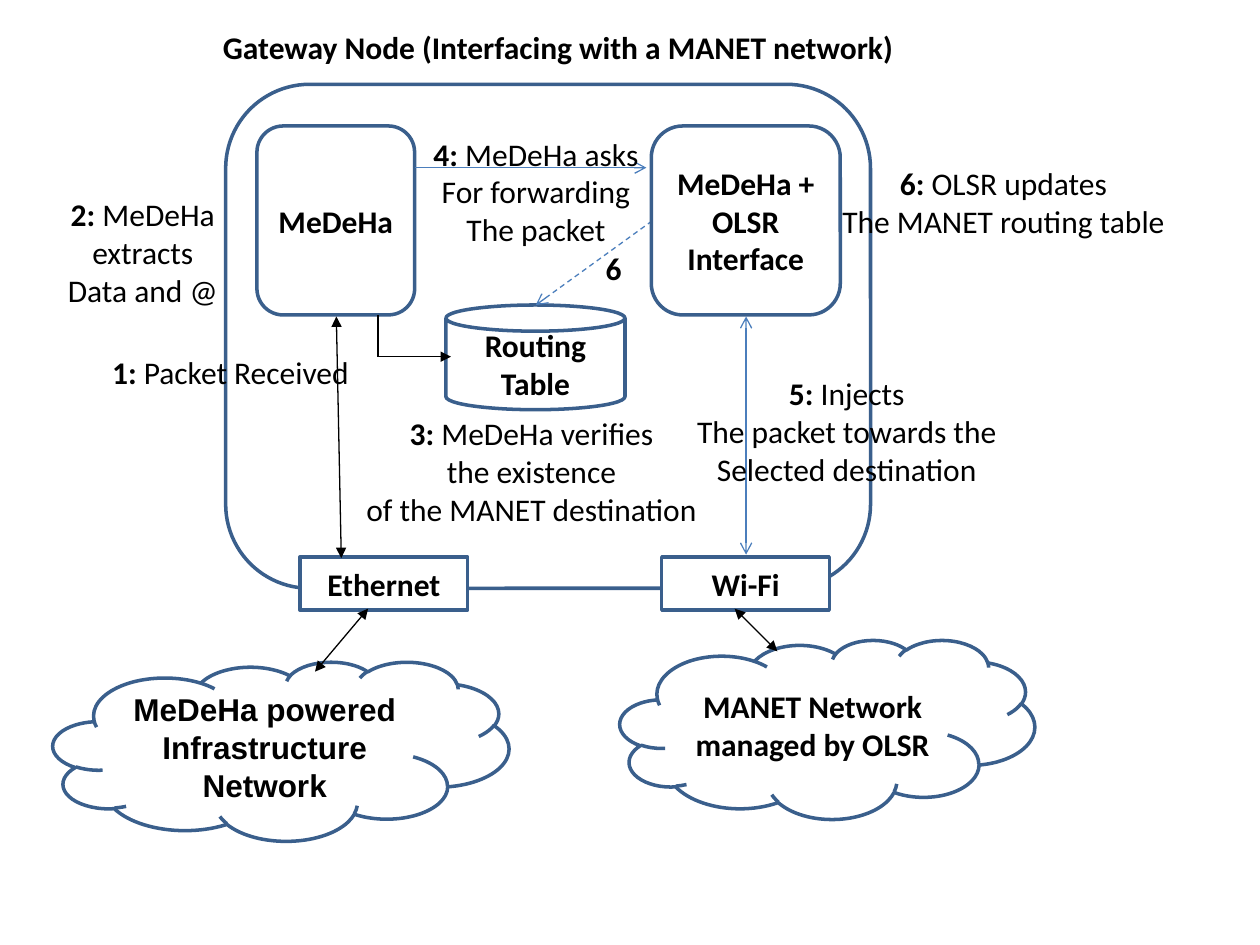
from dataclasses import dataclass
from lxml.etree import SubElement
from pptx import Presentation
from pptx.dml.color import RGBColor
from pptx.enum.dml import MSO_LINE
from pptx.enum.shapes import MSO_CONNECTOR, MSO_SHAPE
from pptx.enum.text import MSO_ANCHOR, MSO_AUTO_SIZE, PP_ALIGN
from pptx.oxml.ns import qn
from pptx.util import Cm, Pt


@dataclass(frozen=True)
class Theme:
    """Colours, fonts and sizes of the slide."""
    ink: RGBColor = RGBColor(0, 0, 0)
    paper: RGBColor = RGBColor(0xFF, 0xFF, 0xFF)
    outline: RGBColor = RGBColor(0x3A, 0x5F, 0x8C)
    signal: RGBColor = RGBColor(0x4B, 0x7E, 0xBC)
    font: str = "Calibri"
    alt_font: str = "Arial"
    size: Pt = Pt(18)
    border: Pt = Pt(2)
    thin: Pt = Pt(0.75)


T = Theme()


def add_run(p, text, bold=True, font=T.font):
    """Add one formatted run to a paragraph."""
    r = p.add_run()
    r.text = text
    for name, value in {"name": font, "size": T.size, "bold": bold}.items():
        setattr(r.font, name, value)
    r.font.color.rgb = T.ink


def add_node(s, kind, x, y, w, h, text="", font=T.font):
    """Draw an outlined shape with a bold centred label."""
    sp = s.shapes.add_shape(kind, Cm(x), Cm(y), Cm(w), Cm(h))
    sp.shadow.inherit = False
    sp.fill.solid()
    sp.fill.fore_color.rgb = T.paper
    sp.line.color.rgb = T.outline
    sp.line.width = T.border
    if text:
        tf = sp.text_frame
        tf.word_wrap, tf.vertical_anchor = True, MSO_ANCHOR.MIDDLE
        p = tf.paragraphs[0]
        p.alignment = PP_ALIGN.CENTER
        add_run(p, text, font=font)


def add_link(s, x, y, start, end, color=T.ink, head=None, tail="triangle", dash=None):
    """Join two points, given relative to the corner (x, y)."""
    ends = [Cm(v) for v in (x + start[0], y + start[1], x + end[0], y + end[1])]
    c = s.shapes.add_connector(MSO_CONNECTOR.STRAIGHT, *ends)
    c.line.color.rgb = color
    c.line.width = T.thin
    if dash:
        c.line.dash_style = dash
    ln = c.line._get_or_add_ln()
    for tag, kind in (("a:headEnd", head), ("a:tailEnd", tail)):
        if kind:
            SubElement(ln, qn(tag), type=kind)
    SubElement(c._element.spPr, qn("a:effectLst"))


def add_title(s, x, y, w, h, text):
    """Place the slide title in its placeholder."""
    sp = s.shapes.title
    for name, value in {"left": x, "top": y, "width": w, "height": h}.items():
        setattr(sp, name, Cm(value))
    tf = sp.text_frame
    tf.word_wrap, tf.auto_size = True, MSO_AUTO_SIZE.NONE
    tf.vertical_anchor = MSO_ANCHOR.TOP
    tf.paragraphs[0].alignment = PP_ALIGN.LEFT
    add_run(tf.paragraphs[0], text)


def add_gateway(s, x, y, w, h):
    """Draw the gateway node with its modules, interfaces and flows."""
    box = MSO_SHAPE.ROUNDED_RECTANGLE
    add_node(s, box, x, y, w, h)
    add_node(s, box, x + 0.63, y + 0.84, 3.18, 3.81, "MeDeHa")
    add_node(s, MSO_SHAPE.CAN, x + 4.44, y + 4.45, 3.61, 2.11, "Routing Table")
    for dx, name in ((1.5, "Ethernet"), (8.79, "Wi-Fi")):
        add_node(s, MSO_SHAPE.RECTANGLE, x + dx, y + 9.53, 3.38, 1.07, name)

    signal = {"color": T.signal, "tail": "arrow"}
    add_link(s, x, y, (3.81, 1.68), (8.48, 1.68), **signal)
    add_link(s, x, y, (8.89, 2.54), (6.25, 4.45), dash=MSO_LINE.DASH, **signal)
    add_link(s, x, y, (10.49, 4.68), (10.49, 9.48), head="arrow", **signal)
    add_link(s, x, y, (2.23, 4.68), (2.33, 9.55), head="triangle")
    add_link(s, x, y, (3.07, 4.65), (3.07, 5.49), tail=None)
    add_link(s, x, y, (3.07, 5.49), (4.54, 5.49))
    add_node(s, box, x + 8.58, y + 0.84, 3.81, 3.81, "MeDeHa + OLSR Interface")


def add_network(s, x, y, w, h, text, start, end, font=T.font):
    """Draw a network cloud and its link up to an interface."""
    add_node(s, MSO_SHAPE.CLOUD, x, y, w, h, text, font)
    add_link(s, x, y, start, end, head="triangle")


def add_step(s, x, y, w, h, number, lines=(), align=PP_ALIGN.CENTER):
    """Write a step: bold number, then plain lines."""
    tf = s.shapes.add_textbox(Cm(x), Cm(y), Cm(w), Cm(h)).text_frame
    tf.word_wrap = False
    p = tf.paragraphs[0]
    p.alignment = align
    add_run(p, number)
    for i, line in enumerate(lines):
        if i:
            p = tf.add_paragraph()
            p.alignment = align
        add_run(p, line if i else " " + line, bold=False)


STEPS = [
    (2.01, 6.99, 5.33, 1.02, "1:", ["Packet Received"], PP_ALIGN.LEFT),
    (1.09, 3.81, 3.58, 2.54, "2:", ["MeDeHa", "extracts", "Data and @"]),
    (7.11, 8.23, 7.21, 2.54, "3:",
     ["MeDeHa verifies", "the existence", "of the MANET destination"]),
    (8.48, 2.59, 4.65, 2.54, "4:", ["MeDeHa asks", "For forwarding", "The packet"]),
    (13.77, 7.42, 6.6, 2.54, "5:",
     ["Injects", "The packet towards the", "Selected destination"]),
    (16.71, 3.18, 7.04, 1.78, "6:", ["OLSR updates", "The MANET routing table"]),
    (11.96, 4.9, 0.84, 1.02, "6", [], PP_ALIGN.LEFT),
]

prs = Presentation()
prs.slide_width, prs.slide_height = Cm(25.4), Cm(19.05)
s = prs.slides.add_slide(prs.slide_layouts[5])
add_title(s, 4.24, 0.43, 16.08, 1.02, "Gateway Node (Interfacing with a MANET network)")
add_gateway(s, 4.55, 1.7, 13, 10.16)
add_network(s, 1.07, 13.34, 9.19, 3.61, "MeDeHa powered Infrastructure Network",
            (5.28, 0.2), (6.35, -1.07), T.alt_font)
add_network(s, 12.5, 12.9, 8.36, 3.61, "MANET Network managed by OLSR",
            (3.17, 0.23), (2.31, -0.63))
for step in STEPS:
    add_step(s, *step)
prs.save("out.pptx")
